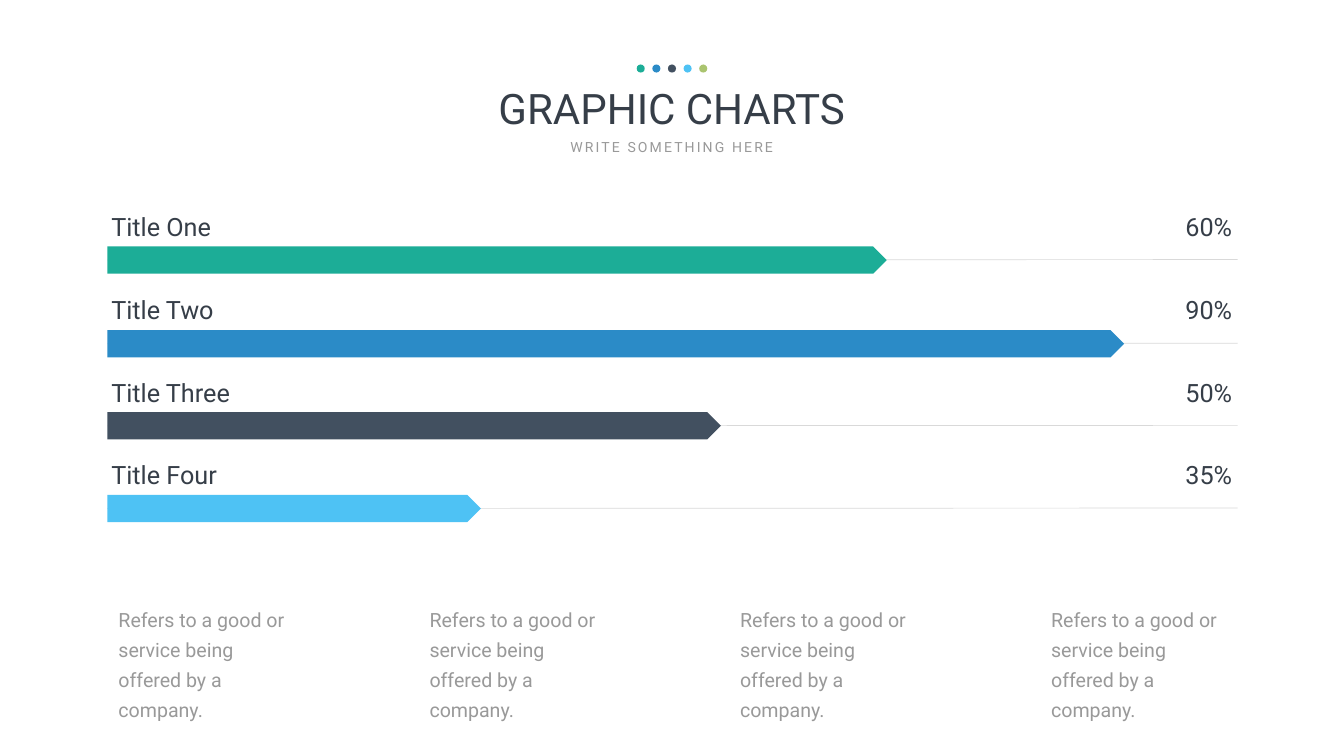
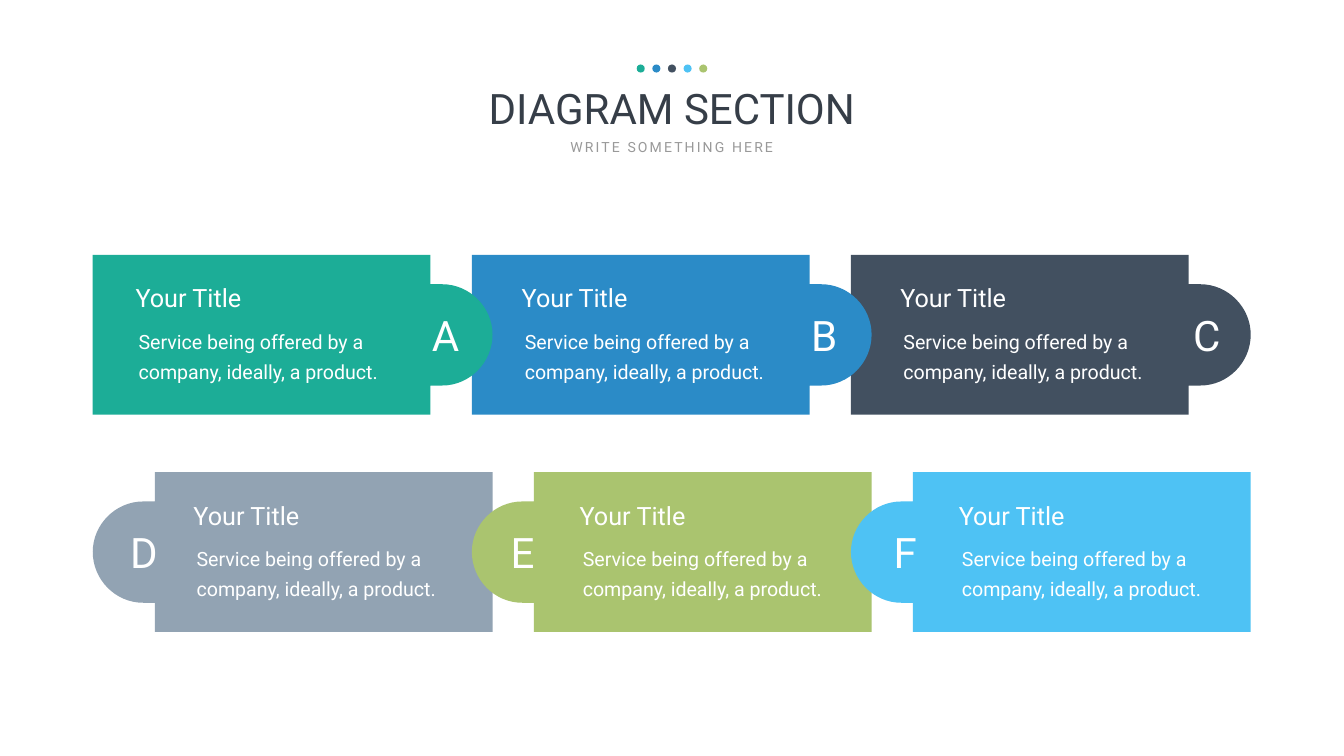
"""Build a bar-graphic slide and a six-part diagram slide with a shared heading."""
import dataclasses

import lxml.etree
import pptx
import pptx.dml.color
import pptx.enum.shapes
import pptx.enum.text
import pptx.oxml.ns
import pptx.util

PX = 9144
ALIGN = pptx.enum.text.PP_ALIGN
SHAPE = pptx.enum.shapes.MSO_SHAPE


@dataclasses.dataclass(frozen=True)
class Theme:
    font: str = "Roboto"
    ink: str = "363E48"
    muted: str = "999999"
    rule: str = "D9D9D9"
    white: str = "FFFFFF"
    teal: str = "1CAD97"
    blue: str = "2B8BC7"
    slate: str = "425060"
    sky: str = "4EC2F4"
    green: str = "AAC46F"
    grey: str = "92A3B3"
    heading: int = 60
    label: int = 36
    body: int = 28
    body_leading: int = 43
    subtitle: int = 20


theme = Theme()


def paint(shape, color):
    shape.shadow.inherit = False
    shape.fill.solid()
    shape.fill.fore_color.rgb = pptx.dml.color.RGBColor.from_string(color)
    shape.line.fill.background()


def write(box, area, text, size, color, align=ALIGN.LEFT, wrap=True):
    box.left, box.top, box.width, box.height = (length * PX for length in area)
    frame = box.text_frame
    frame.text = text
    frame.word_wrap = wrap
    frame.vertical_anchor = pptx.enum.text.MSO_ANCHOR.TOP
    frame.auto_size = pptx.enum.text.MSO_AUTO_SIZE.SHAPE_TO_FIT_TEXT
    paragraph = frame.paragraphs[0]
    paragraph.alignment = align
    if size == theme.body:
        frame.margin_left = frame.margin_right = 24 * PX
        frame.margin_top = frame.margin_bottom = 12 * PX
        paragraph.line_spacing = pptx.util.Pt(theme.body_leading)
    font = paragraph.runs[0].font
    font.name = theme.font
    font.size = pptx.util.Pt(size)
    font.color.rgb = pptx.dml.color.RGBColor.from_string(color)
    return paragraph.runs[0]


deck = pptx.Presentation()
deck.slide_width, deck.slide_height = 2666 * PX, 1500 * PX

slides = []
for heading in ("GRAPHIC CHARTS", "DIAGRAM SECTION"):
    slide = deck.slides.add_slide(deck.slide_layouts[5])
    slides.append(slide)
    write(slide.shapes.title, (770, 159, 1125, 111), heading,
          theme.heading, theme.ink, ALIGN.CENTER)
    subtitle = write(slide.shapes.add_textbox(0, 0, 0, 0), (1115, 270, 435, 44),
                     "WRITE SOMETHING HERE", theme.subtitle, theme.muted,
                     ALIGN.CENTER, wrap=False)
    subtitle._r.get_or_add_rPr().set("spc", "300")
    dots = slide.shapes.add_group_shape()
    for column, color in enumerate(
            (theme.teal, theme.blue, theme.slate, theme.sky, theme.green)):
        paint(dots.shapes.add_shape(SHAPE.OVAL, (1263 + 31 * column) * PX,
                                    128 * PX, 16 * PX, 16 * PX), color)

charts, diagram = (slide.shapes for slide in slides)

bars = (
    ("Title One", "60%", 489, 1546, 534, theme.teal),
    ("Title Two", "90%", 655, 2017, 534, theme.blue),
    ("Title Three", "50%", 818, 1217, 609, theme.slate),
    ("Title Four", "35%", 982, 741, 534, theme.sky),
)
for row, (name, share, top, length, name_width, color) in enumerate(bars):
    track = charts.add_connector(pptx.enum.shapes.MSO_CONNECTOR.STRAIGHT,
                                 213 * PX, (top + 27) * PX,
                                 2455 * PX, (top + 26) * PX)
    track.line.color.rgb = pptx.dml.color.RGBColor.from_string(theme.rule)
    track.line.width = pptx.util.Pt(1)
    lxml.etree.SubElement(track._element.spPr, pptx.oxml.ns.qn("a:effectLst"))
    label_top = 415 + 164 * row
    write(charts.add_textbox(0, 0, 0, 0), (211, label_top, name_width, 63),
          name, theme.label, theme.ink)
    write(charts.add_textbox(0, 0, 0, 0), (2230, label_top, 224, 63),
          share, theme.label, theme.ink, ALIGN.RIGHT)
    bar = charts.add_shape(SHAPE.PENTAGON, 213 * PX, top * PX,
                           length * PX, 54 * PX)
    paint(bar, color)
    track.begin_connect(bar, 1)

for column in range(4):
    write(charts.add_textbox(0, 0, 0, 0),
          (211 + round(616.67 * column), 1181, 408, 200),
          "Refers to a good or service being offered by a company.",
          theme.body, theme.muted)

card_width = 793
outline = ((0, 317), (0, 0), (670, 0), (670, 58), (693, 58),
           (793, 158), (693, 259), (670, 259), (670, 317))
tab_curves = {4: ((748, 58), (793, 104)), 5: ((793, 213), (748, 259))}

cards = (
    ("C", 2, 506, False, 1776, 2357, 74, theme.slate),
    ("B", 1, 506, False, 1025, 1598, 74, theme.blue),
    ("A", 0, 506, False, 259, 847, 74, theme.teal),
    ("D", 0, 937, True, 374, 248, 75, theme.grey),
    ("E", 1, 937, True, 1140, 1002, 69, theme.green),
    ("F", 2, 937, True, 1892, 1761, 69, theme.sky),
)
for letter, column, top, mirrored, title_left, letter_left, letter_width, color in cards:
    left = 184 + 752 * column
    points = [((left + (card_width - x if mirrored else x)) * PX, (top + y) * PX)
              for x, y in outline]
    builder = diagram.build_freeform(*points[0])
    builder.add_line_segments(points[1:], close=True)
    card = builder.convert_to_shape()
    paint(card, color)
    sides = list(card._element.iter(pptx.oxml.ns.qn("a:lnTo")))
    for position, controls in tab_curves.items():
        side = sides[position]
        curve = lxml.etree.Element(pptx.oxml.ns.qn("a:cubicBezTo"))
        for x, y in controls:
            lxml.etree.SubElement(
                curve, pptx.oxml.ns.qn("a:pt"),
                x=str((card_width - x if mirrored else x) * PX), y=str(y * PX))
        curve.append(side[0])
        side.getparent().replace(side, curve)

for letter, column, top, mirrored, title_left, letter_left, letter_width, color in cards:
    write(diagram.add_textbox(0, 0, 0, 0), (title_left, top + 50, 246, 73),
          "Your Title", theme.label, theme.white, wrap=False)
    write(diagram.add_textbox(0, 0, 0, 0), (title_left - 8, top + 123, 572, 143),
          "Service being offered by a company, ideally, a product.",
          theme.body, theme.white)
    write(diagram.add_textbox(0, 0, 0, 0),
          (letter_left, top + 103, letter_width, 111),
          letter, theme.heading, theme.white, ALIGN.CENTER, wrap=False)

deck.save("out.pptx")
